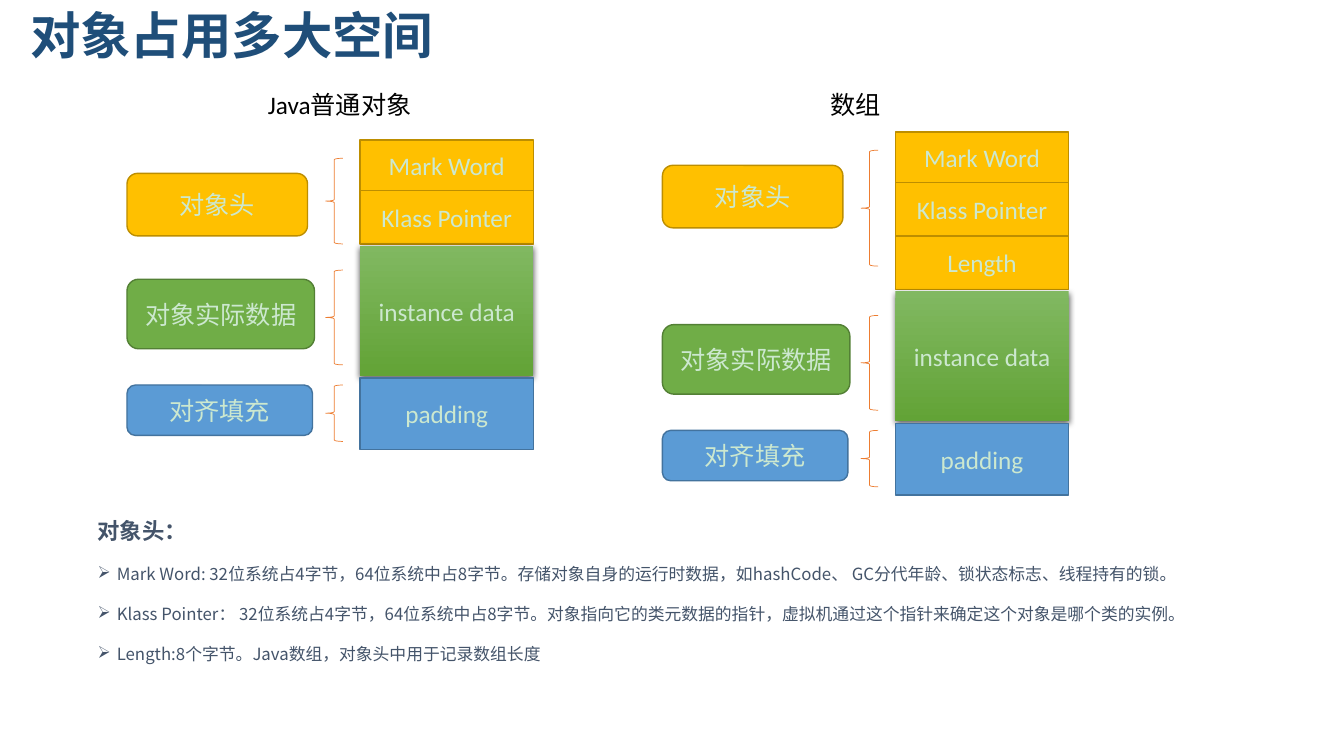
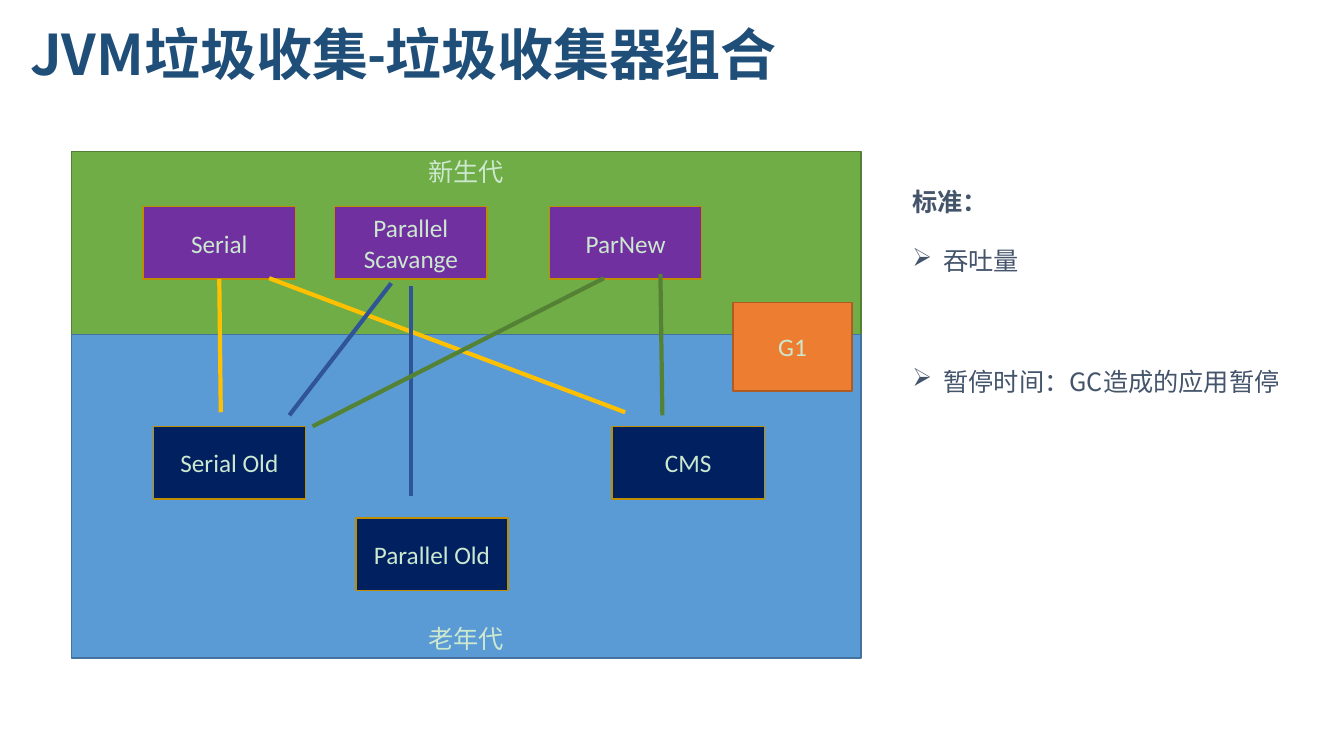
from lxml import etree
from pptx import Presentation
from pptx.dml.color import RGBColor
from pptx.enum.shapes import MSO_CONNECTOR, MSO_SHAPE
from pptx.enum.text import MSO_ANCHOR, PP_ALIGN
from pptx.oxml.ns import qn
from pptx.util import Inches, Pt

RECT, ROUND, BRACE = MSO_SHAPE.RECTANGLE, MSO_SHAPE.ROUNDED_RECTANGLE, MSO_SHAPE.LEFT_BRACE
STRAIGHT = MSO_CONNECTOR.STRAIGHT
TOP, MIDDLE, BOTTOM = MSO_ANCHOR.TOP, MSO_ANCHOR.MIDDLE, MSO_ANCHOR.BOTTOM
CENTER = PP_ALIGN.CENTER

TITLE_BLUE = RGBColor(0x1F, 0x4E, 0x79)
SLATE = RGBColor(0x44, 0x54, 0x6A)
BLACK = RGBColor(0, 0, 0)
PALE = RGBColor(0xCC, 0xE8, 0xCF)
GOLD = RGBColor(0xFF, 0xC0, 0x00)
GOLD_EDGE = RGBColor(0xBD, 0x8E, 0x00)
GREEN = RGBColor(0x70, 0xAD, 0x47)
GREEN_EDGE = RGBColor(0x53, 0x80, 0x35)
GREEN_LIGHT = RGBColor(0x81, 0xB8, 0x61)
GREEN_DEEP = RGBColor(0x62, 0xA3, 0x36)
BLUE = RGBColor(0x5B, 0x9B, 0xD5)
BLUE_EDGE = RGBColor(0x43, 0x73, 0x9E)
ORANGE = RGBColor(0xED, 0x7D, 0x31)
ORANGE_EDGE = RGBColor(0xAF, 0x5C, 0x24)
PURPLE = RGBColor(0x70, 0x30, 0xA0)
NAVY = RGBColor(0x00, 0x20, 0x60)
LINK_BLUE = RGBColor(0x2F, 0x55, 0x97)
LINK_GREEN = RGBColor(0x54, 0x82, 0x35)

LATIN, CJK = "Calibri", "Noto Sans CJK SC"
LINE_PITCH = 2.38  # line height of the notes, in font sizes


def style(r, size, color, bold=False, font=LATIN):
    r.font.size, r.font.bold, r.font.name = Pt(size), bold, font
    r.font.color.rgb = color


def add_text(s, x, y, w, h, anchor=TOP):
    tf = s.shapes.add_textbox(*map(Inches, (x, y, w, h))).text_frame
    tf.word_wrap, tf.vertical_anchor = True, anchor
    return tf


def add_title(s, runs, size, y):
    p = add_text(s, 0.2, y, 8.67, 0.75, MIDDLE).paragraphs[0]
    p.line_spacing = 0.9
    for text, font in runs:
        r = p.add_run()
        r.text = text
        style(r, size, TITLE_BLUE, True, font)


def add_box(s, x, y, w, h, text, fill, edge, kind=RECT, anchor=MIDDLE):
    sp = s.shapes.add_shape(kind, *map(Inches, (x, y, w, h)))
    sp.shadow.inherit = False
    sp.fill.solid()
    sp.fill.fore_color.rgb = fill
    sp.line.color.rgb = edge
    sp.line.width = Pt(1)
    tf = sp.text_frame
    tf.word_wrap, tf.vertical_anchor = True, anchor
    tf.text = text
    p = tf.paragraphs[0]
    p.alignment = CENTER
    style(p.runs[0], 18, PALE)
    return sp


def add_brace(s, x, y, h):
    sp = s.shapes.add_shape(BRACE, *map(Inches, (x, y, 0.17, h)))
    sp.shadow.inherit = False
    sp.fill.background()
    sp.line.color.rgb = ORANGE
    sp.line.width = Pt(0.5)


def add_glossy_box(s, x, y, w, h, text):
    """Box with a vertical gradient and a soft shadow below it."""
    sp = add_box(s, x, y, w, h, text, GREEN, GREEN_EDGE)
    sp.line.fill.background()
    sp.fill.gradient()
    sp.fill.gradient_angle = 270
    for stop, color in zip(sp.fill.gradient_stops, (GREEN_LIGHT, GREEN_DEEP)):
        stop.color.rgb = color
    effects = sp._element.spPr.find(qn("a:effectLst"))
    shadow = etree.SubElement(effects, qn("a:outerShdw"), blurRad=str(Pt(4.5)),
                              dist=str(Pt(1.5)), dir="5400000", rotWithShape="0")
    color = etree.SubElement(shadow, qn("a:srgbClr"), val="000000")
    etree.SubElement(color, qn("a:alpha"), val="63000")


def add_notes_list(s, x, y, w, h, heading, bullets, head_size, size, indent, gap=0):
    """Bold heading with arrow bullets; gap is the space between bullets."""
    tf = add_text(s, x, y, w, h)
    for i, text in enumerate([heading] + bullets):
        p = tf.paragraphs[0] if i == 0 else tf.add_paragraph()
        p.text = text
        pt = size if i else head_size
        p.line_spacing = Pt(round(pt * LINE_PITCH, 1))
        if i > 1:
            p.space_before = Pt(gap)
        if i:
            pPr = p._p.get_or_add_pPr()
            pPr.set("marL", str(Inches(indent)))
            pPr.set("indent", str(-Inches(indent)))
            etree.SubElement(pPr, qn("a:buChar"), char="➢")
        r = p.runs[0]
        style(r, pt, SLATE, i == 0, CJK)
        etree.SubElement(r._r.get_or_add_rPr(), qn("a:ea"), typeface=CJK)


def add_memory_layout(s, x, y, caption, caption_x, caption_w, header, brace_h):
    """Labels, braces and the stack of memory cells; y is the top of the stack."""
    tf = add_text(s, x + caption_x, 0.84, caption_w, 0.4)
    tf.text = caption
    style(tf.paragraphs[0].runs[0], 18, BLACK)
    brace_x, stack_x, stack_w = x + 1.97, x + 2.31, 1.72

    # Object header
    add_box(s, x, y + 0.33, 1.79, 0.62, "对象头", GOLD, GOLD_EDGE, ROUND)
    add_brace(s, brace_x, y + 0.18, brace_h)
    for i, name in enumerate(header):
        h = 0.53 if i else 0.5
        add_box(s, stack_x, y, stack_w, h, name, GOLD, GOLD_EDGE)
        y += h

    # Instance data
    y += 0.02
    add_box(s, x, y + 0.33, 1.86, 0.69, "对象实际数据", GREEN, GREEN_EDGE, ROUND)
    add_brace(s, brace_x, y + 0.24, 0.94)
    add_glossy_box(s, stack_x, y, stack_w, 1.29, "instance data")

    # Padding
    y += 1.31
    add_box(s, x, y + 0.07, 1.84, 0.5, "对齐填充", BLUE, BLUE_EDGE, ROUND)
    add_brace(s, brace_x, y + 0.07, 0.56)
    add_box(s, stack_x, y, stack_w, 0.71, "padding", BLUE, BLUE_EDGE)


def add_collectors(s, x, y, w):
    """Two generations, their collectors and the pairs that work together."""
    young_h, old_h = 1.82, 3.21
    add_box(s, x, y, w, young_h, "新生代", GREEN, GREEN_EDGE, anchor=TOP)
    add_box(s, x, y + young_h, w, old_h, "老年代", BLUE, BLUE_EDGE, anchor=BOTTOM)

    boxes = {}
    for name, dx, dy, fill in (
        ("Serial", 0.71, 0.55, PURPLE),
        ("Parallel Scavange", 2.61, 0.55, PURPLE),
        ("ParNew", 4.74, 0.55, PURPLE),
        ("Serial Old", 0.81, 2.73, NAVY),
        ("Parallel Old", 2.82, 3.64, NAVY),
        ("CMS", 5.36, 2.73, NAVY),
    ):
        boxes[name] = add_box(s, x + dx, y + dy, 1.51, 0.72, name, fill, GOLD_EDGE)

    # Pairings
    for x1, y1, x2, y2, color, start in (
        (1.47, 1.27, 1.48, 2.59, GOLD, "Serial"),
        (1.96, 1.26, 5.49, 2.59, GOLD, None),
        (3.37, 1.34, 3.37, 3.42, LINK_BLUE, None),
        (3.17, 1.31, 2.16, 2.62, LINK_BLUE, None),
        (5.84, 1.22, 5.86, 2.62, LINK_GREEN, None),
        (5.28, 1.26, 2.39, 2.73, LINK_GREEN, None),
    ):
        line = s.shapes.add_connector(
            STRAIGHT, *map(Inches, (x + x1, y + y1, x + x2, y + y2)))
        line.line.color.rgb = color
        line.line.width = Pt(3)
        etree.SubElement(line._element.spPr, qn("a:effectLst"))
        if start:
            line.begin_connect(boxes[start], 2)

    # Collector spanning both generations
    add_box(s, x + 6.56, y + 1.5, 1.18, 0.88, "G1", ORANGE, ORANGE_EDGE)


def object_size_slide(prs):
    s = prs.slides.add_slide(prs.slide_layouts[6])
    add_title(s, [("对象占用多大空间", LATIN)], 36, 0)
    header = ["Mark Word", "Klass Pointer"]
    add_memory_layout(s, 1.26, 1.39, "Java普通对象", 1.3, 1.64, header, 0.85)
    add_memory_layout(s, 6.57, 1.31, "数组", 1.57, 0.8, header + ["Length"], 1.15)
    add_notes_list(s, 0.87, 4.82, 11.08, 2.52, "对象头：", [
        "Mark Word: 32位系统占4字节，64位系统中占8字节。存储对象自身的运行时数据，"
        "如hashCode、 GC分代年龄、锁状态标志、线程持有的锁。",
        "Klass Pointer： 32位系统占4字节，64位系统中占8字节。对象指向它的类元数据的指针，"
        "虚拟机通过这个指针来确定这个对象是哪个类的实例。",
        "Length:8个字节。Java数组，对象头中用于记录数组长度",
    ], 16, 12, 0.19)


def collectors_slide(prs):
    s = prs.slides.add_slide(prs.slide_layouts[6])
    add_title(s, [("JVM", CJK), ("垃圾收集-垃圾收集器组合", LATIN)], 40, 0.19)
    add_collectors(s, 0.71, 1.5, 7.83)
    add_notes_list(s, 8.95, 1.5, 4.2, 2.52, "标准：",
                   ["吞吐量", "暂停时间：GC造成的应用暂停"], 18, 18, 0.31, gap=43)


def main():
    prs = Presentation()
    prs.slide_width, prs.slide_height = Inches(13.33), Inches(7.5)
    object_size_slide(prs)
    collectors_slide(prs)
    prs.save("out.pptx")


if __name__ == "__main__":
    main()
